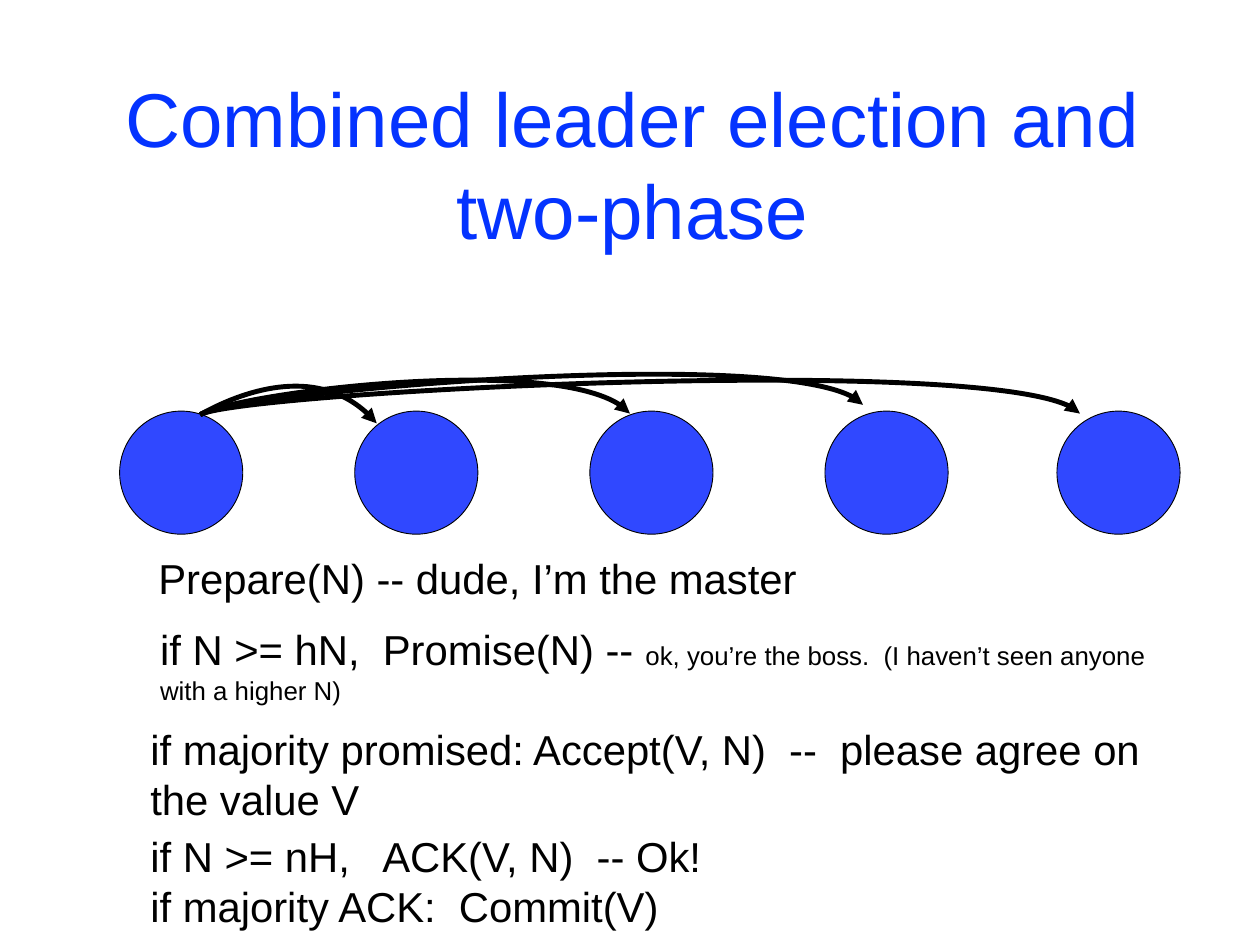
from dataclasses import dataclass

from lxml import etree
from pptx import Presentation
from pptx.dml.color import RGBColor
from pptx.enum.shapes import MSO_SHAPE
from pptx.enum.text import MSO_ANCHOR, MSO_AUTO_SIZE, PP_ALIGN
from pptx.oxml.ns import qn
from pptx.util import Cm, Pt

OVAL = MSO_SHAPE.OVAL
MIDDLE, TOP = MSO_ANCHOR.MIDDLE, MSO_ANCHOR.TOP
CENTER, LEFT = PP_ALIGN.CENTER, PP_ALIGN.LEFT
FIXED, GROW = MSO_AUTO_SIZE.NONE, MSO_AUTO_SIZE.SHAPE_TO_FIT_TEXT
TITLE_ONLY = 5


@dataclass(frozen=True)
class Theme:
    font: str = "Arial"
    title: RGBColor = RGBColor(0x04, 0x33, 0xFF)
    node: RGBColor = RGBColor(0x30, 0x48, 0xFF)
    ink: RGBColor = RGBColor(0, 0, 0)
    title_size: int = 62
    body_size: int = 34
    aside_size: int = 21
    node_line: float = 0.75
    arrow_line: float = 4


THEME = Theme()

NODE_SIZE, NODE_TOP = 3.53, 11.79
NODE_LEFTS = [3.43 + 6.74 * index for index in range(4)] + [30.3]

# Every message leaves the first node and bends the same way at both ends.
ARROW_START = (5.74, 11.89)
START_BEND = (1.14, -0.64)
END_BEND = (-1.52, -1.8)
ARROW_ENDS = [(10.8, 12.14), (18.06, 11.86), (24.74, 11.61), (30.96, 11.86)]
CURVE_STEPS = 40

BODY, ASIDE = THEME.body_size, THEME.aside_size
# Left, top, width, height, then paragraphs of (text, size) spans.
STEPS = [
    (4.24, 15.7, 19.84, 1.63, [[("Prepare(N) -- dude, I’m the master", BODY)]]),
    (4.29, 17.75, 29.87, 2.49, [[
        ("if N >= hN,  Promise(N) -- ", BODY),
        ("ok, you’re the boss.  (I haven’t seen anyone with a higher N)", ASIDE),
    ]]),
    (4.01, 20.6, 30.68, 3, [[
        ("if majority promised: Accept(V, N)  --  please agree on the value V", BODY),
    ]]),
    (4.01, 23.67, 30.68, 3, [
        [("if N >= nH,   ACK(V, N)  -- Ok!", BODY)],
        [("if majority ACK:  Commit(V)", BODY)],
    ]),
]


def set_all(target, values):
    for name, value in values.items():
        setattr(target, name, value)


def place(shape, left, top, width, height):
    set_all(shape, {"left": Cm(left), "top": Cm(top),
                    "width": Cm(width), "height": Cm(height)})


def write_text(frame, paragraphs, color, align, anchor, auto_size):
    margins = ("margin_left", "margin_top", "margin_right", "margin_bottom")
    set_all(frame, dict.fromkeys(margins, Cm(0.15)))
    set_all(frame, {"word_wrap": True, "vertical_anchor": anchor,
                    "auto_size": auto_size})
    for index, spans in enumerate(paragraphs):
        para = frame.add_paragraph() if index else frame.paragraphs[0]
        para.alignment = align
        properties = para._p.get_or_add_pPr()
        properties.set("marL", str(Cm(0.15)))
        properties.set("indent", "0")
        for text, size in spans:
            span = para.add_run()
            span.text = text
            set_all(span.font, {"name": THEME.font, "size": Pt(size)})
            span.font.color.rgb = color


def add_title(page, text):
    title = page.shapes.title
    place(title, 2.72, 0, 30.68, 9.35)
    write_text(title.text_frame, [[(text, THEME.title_size)]],
               THEME.title, CENTER, MIDDLE, FIXED)


def add_step(page, left, top, width, height, paragraphs):
    box = page.shapes.add_textbox(Cm(left), Cm(top), Cm(width), Cm(height))
    write_text(box.text_frame, paragraphs, THEME.ink, LEFT, TOP, GROW)


def style_line(shape, width):
    shape.shadow.inherit = False
    shape.line.color.rgb = THEME.ink
    shape.line.width = Pt(width)


def add_node(page, left):
    node = page.shapes.add_shape(OVAL, Cm(left), Cm(NODE_TOP),
                                 Cm(NODE_SIZE), Cm(NODE_SIZE))
    node.fill.solid()
    node.fill.fore_color.rgb = THEME.node
    style_line(node, THEME.node_line)


def offset(point, bend):
    return tuple(base + shift for base, shift in zip(point, bend))


def curve_point(controls, t):
    """Return the point at t (0 to 1) on a cubic Bézier curve."""
    weights = ((1 - t) ** 3, 3 * t * (1 - t) ** 2, 3 * t ** 2 * (1 - t), t ** 3)
    return tuple(Cm(sum(weight * point[axis]
                        for weight, point in zip(weights, controls)))
                 for axis in (0, 1))


def add_curved_arrow(page, end):
    """Size a freeform by points on the curve, then make it one Bézier segment."""
    controls = [ARROW_START, offset(ARROW_START, START_BEND),
                offset(end, END_BEND), end]
    points = [curve_point(controls, step / CURVE_STEPS)
              for step in range(CURVE_STEPS + 1)]
    builder = page.shapes.build_freeform(*points[0])
    builder.add_line_segments(points[1:], close=False)
    arrow = builder.convert_to_shape()

    outline = next(arrow._element.iter(qn("a:path")))
    for segment in outline.findall(qn("a:lnTo")):
        outline.remove(segment)
    curve = etree.SubElement(outline, qn("a:cubicBezTo"))
    for x, y in controls[1:]:
        etree.SubElement(curve, qn("a:pt"), x=str(Cm(x) - arrow.left),
                         y=str(Cm(y) - arrow.top))

    arrow.fill.background()
    style_line(arrow, THEME.arrow_line)
    etree.SubElement(arrow.line._get_or_add_ln(), qn("a:tailEnd"), type="triangle")


def main():
    deck = Presentation()
    set_all(deck, {"slide_width": Cm(36.12), "slide_height": Cm(27.1)})
    page = deck.slides.add_slide(deck.slide_layouts[TITLE_ONLY])
    add_title(page, "Combined leader election and two-phase")
    for left in NODE_LEFTS:
        add_node(page, left)
    for end in ARROW_ENDS:
        add_curved_arrow(page, end)
    for step in STEPS:
        add_step(page, *step)
    deck.save("out.pptx")


if __name__ == "__main__":
    main()
